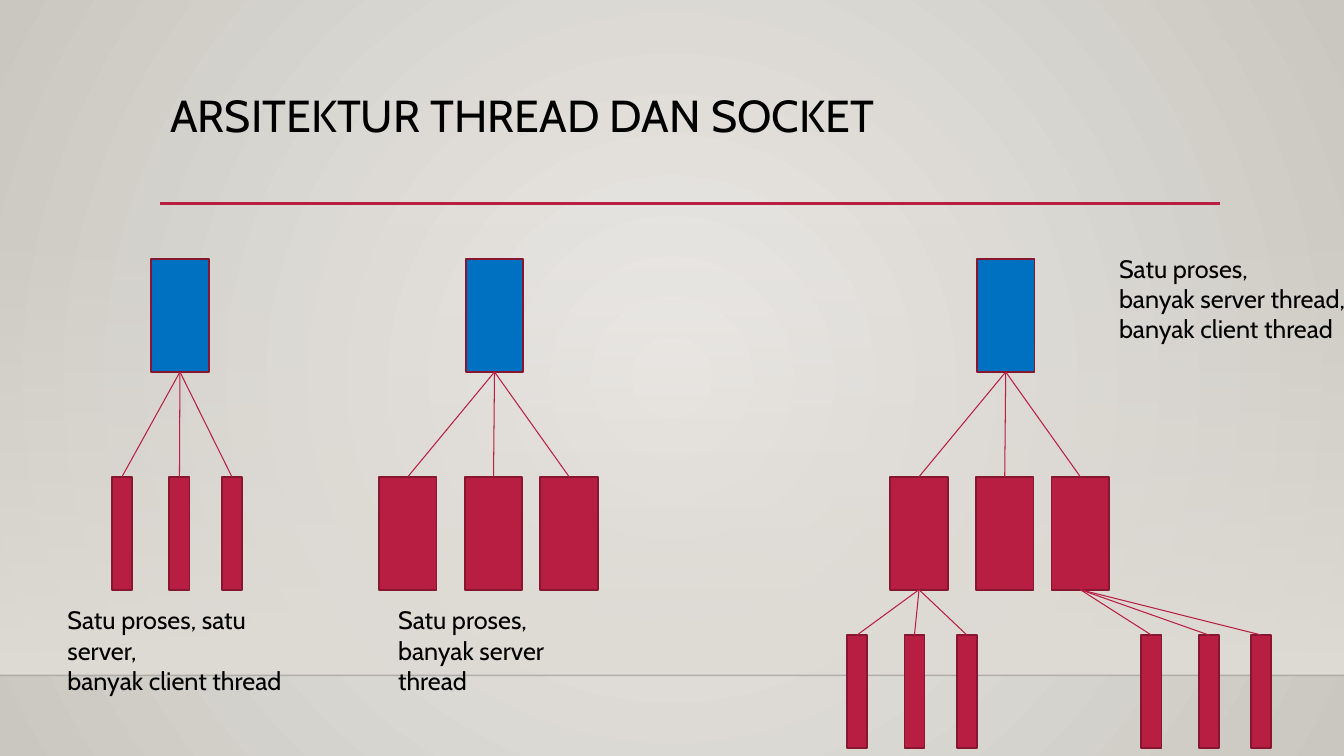
from lxml import etree
from pptx import Presentation
from pptx.dml.color import RGBColor
from pptx.enum.shapes import MSO_CONNECTOR, MSO_SHAPE
from pptx.enum.text import MSO_ANCHOR
from pptx.oxml.ns import qn
from pptx.util import Inches, Pt

RECTANGLE = MSO_SHAPE.RECTANGLE
STRAIGHT = MSO_CONNECTOR.STRAIGHT
TOP = MSO_ANCHOR.TOP

BLACK = RGBColor(0x00, 0x00, 0x00)
CRIMSON = RGBColor(0xB7, 0x1E, 0x42)
DARK_CRIMSON = RGBColor(0x87, 0x16, 0x31)
BLUE = RGBColor(0x00, 0x70, 0xC0)
BACK_CENTRE = RGBColor(0xEC, 0xEA, 0xE7)
BACK_EDGE = RGBColor(0xCA, 0xC7, 0xC1)
BAND = RGBColor(0xDF, 0xDB, 0xD5)

FONT = "Cabin"
SLIDE_WIDTH, SLIDE_HEIGHT = 13.33, 7.5
BOX_WIDTH, CLIENT_WIDTH, BOX_HEIGHT = 0.57, 0.2, 1.12
PROCESS_TOP, THREAD_TOP, CLIENT_TOP = 2.57, 4.73, 6.3
SERVER_OFFSETS = (0, 0.85, 1.6)
CLIENT_OFFSETS = (0, 0.57, 1.09)


def set_alpha(element, percent):
    """Make the first RGB colour inside the element partly transparent."""
    color = next(element.iter(qn("a:srgbClr")))
    etree.SubElement(color, qn("a:alpha"), val=str(percent * 1000))


def set_stops(fill, first, last):
    fill.gradient()
    for stop, color in zip(fill.gradient_stops, (first, last)):
        stop.color.rgb = color


def paint_background(page):
    """Fill the page with a gradient that spreads in circles from the centre."""
    set_stops(page.background.fill, BACK_CENTRE, BACK_EDGE)
    gradient = next(page.element.iter(qn("a:gradFill")))
    gradient.remove(gradient.find(qn("a:lin")))
    circle = etree.SubElement(gradient, qn("a:path"), path="circle")
    edges = dict.fromkeys("ltrb", "50000")
    etree.SubElement(circle, qn("a:fillToRect"), **edges)


def add_band(page, top, height):
    """Add a full-width band that fades in from top to bottom."""
    band = page.shapes.add_shape(
        RECTANGLE, 0, Inches(top), Inches(SLIDE_WIDTH), Inches(height))
    band.shadow.inherit = False
    band.line.fill.background()
    set_stops(band.fill, BAND, BAND)
    band.fill.gradient_angle = 270
    set_alpha(band._element.spPr, 0)


def add_line(page, start, end, color=CRIMSON, weight=0.75):
    line = page.shapes.add_connector(
        STRAIGHT, *(Inches(value) for value in (*start, *end)))
    line.line.color.rgb = color
    line.line.width = Pt(weight)
    etree.SubElement(line._element.spPr, qn("a:effectLst"))
    return line


def add_box(page, left, top, width=BOX_WIDTH, color=CRIMSON):
    """Add a box and return the middle of its bottom edge."""
    box = page.shapes.add_shape(
        RECTANGLE, Inches(left), Inches(top), Inches(width), Inches(BOX_HEIGHT))
    box.shadow.inherit = False
    box.fill.solid()
    box.fill.fore_color.rgb = color
    box.line.color.rgb = DARK_CRIMSON
    box.line.width = Pt(1.25)
    return left + width / 2, top + BOX_HEIGHT


def add_fan(page, origin, left, top, offsets, width):
    """Add a row of boxes, each joined to the origin; return their bottoms."""
    bottoms = [add_box(page, left + offset, top, width) for offset in offsets]
    for middle, _ in bottoms:
        add_line(page, origin, (middle, top))
    return bottoms


def add_servers(page, process, left):
    return add_fan(page, process, left, THREAD_TOP, SERVER_OFFSETS, BOX_WIDTH)


def add_clients(page, parent, left, top):
    add_fan(page, parent, left, top, CLIENT_OFFSETS, CLIENT_WIDTH)


def add_text(page, text, left, top, width, height, size=18, spacing=1.0):
    box = page.shapes.add_textbox(
        Inches(left), Inches(top), Inches(width), Inches(height))
    frame = box.text_frame
    frame.word_wrap = True
    frame.vertical_anchor = TOP
    frame.text = text
    for para in frame.paragraphs:
        para.line_spacing = spacing
        for span in para.runs:
            span.font.name = FONT
            span.font.size = Pt(size)
            span.font.color.rgb = BLACK


def main():
    deck = Presentation()
    deck.slide_width = Inches(SLIDE_WIDTH)
    deck.slide_height = Inches(SLIDE_HEIGHT)
    page = deck.slides.add_slide(deck.slide_layouts[6])

    paint_background(page)
    add_band(page, 2.21, 4.49)
    floor = add_line(page, (0, 6.7), (SLIDE_WIDTH, 6.7), BLACK, 1)
    set_alpha(floor._element.spPr, 20)
    add_line(page, (1.59, 2.02), (12.1, 2.02), weight=2.5)
    add_text(page, "ARSITEKTUR THREAD DAN SOCKET",
             1.59, 0.88, 10.5, 1.15, size=32, spacing=0.9)

    single_server = add_box(page, 1.5, PROCESS_TOP, color=BLUE)
    add_clients(page, single_server, 1.11, THREAD_TOP)

    many_servers = add_box(page, 4.62, PROCESS_TOP, color=BLUE)
    add_servers(page, many_servers, 3.76)

    servers_and_clients = add_box(page, 9.69, PROCESS_TOP, color=BLUE)
    first, _, last = add_servers(page, servers_and_clients, 8.83)
    add_clients(page, first, 8.4, CLIENT_TOP)
    add_clients(page, last, 11.32, CLIENT_TOP)

    add_text(page, "Satu proses, satu server,\nbanyak client thread",
             0.57, 5.95, 2.65, 0.71)
    add_text(page, "Satu proses,\nbanyak server thread",
             3.85, 5.95, 2.3, 0.71)
    add_text(page, "Satu proses,\nbanyak server thread,\nbanyak client thread",
             11, 2.46, 2.55, 1.01)

    deck.save("out.pptx")


if __name__ == "__main__":
    main()
